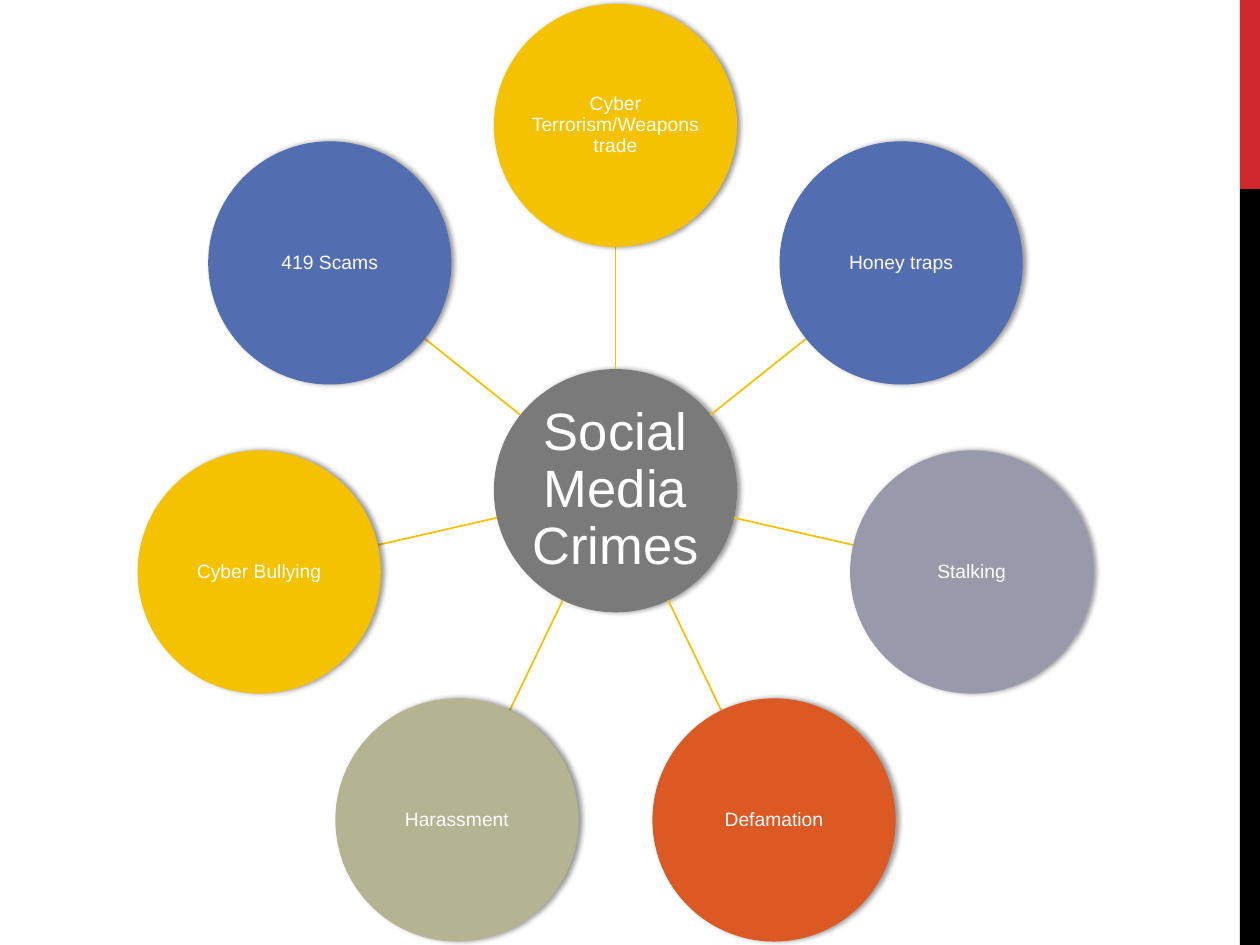
"""Build a radial diagram of social media crimes."""
import math
from lxml import etree
from pptx import Presentation
from pptx import util as u
from pptx.dml.color import RGBColor
from pptx.enum import shapes, text
from pptx.oxml.ns import qn

INCH = u.Inches
CX, CY, RADIUS, ORBIT = 4.885, 3.895, 0.965, 2.9


def paint(fmt, color):
    fmt.solid()
    fmt.fore_color.rgb = RGBColor.from_string(color)


def add_circle(s, x, y, color, label, size, inset):
    sp = s.shapes.add_shape(shapes.MSO_SHAPE.OVAL, INCH(x - RADIUS), INCH(y - RADIUS),
                            INCH(2 * RADIUS), INCH(2 * RADIUS))
    paint(sp.fill, color)
    sp.line.fill.background()
    sp.shadow.inherit = False
    effects = sp._element.spPr.find(qn("a:effectLst"))
    shadow = etree.SubElement(effects, qn("a:outerShdw"), blurRad=str(u.Pt(3.1)),
                              dist=str(u.Pt(1.8)), dir="0", rotWithShape="0")
    black = etree.SubElement(shadow, qn("a:srgbClr"), val="000000")
    etree.SubElement(black, qn("a:alpha"), val="40000")
    tf = sp.text_frame
    frame = {"word_wrap": True, "vertical_anchor": text.MSO_ANCHOR.MIDDLE}
    frame.update({f"margin_{side}": INCH(inset) for side in ("left", "top", "right", "bottom")})
    for name, value in frame.items():
        setattr(tf, name, value)
    p = tf.paragraphs[0]
    for name, value in {"alignment": text.PP_ALIGN.CENTER, "line_spacing": 0.9}.items():
        setattr(p, name, value)
    r = p.add_run()
    r.text = label
    for name, value in {"name": "Arial", "size": u.Pt(size)}.items():
        setattr(r.font, name, value)
    paint(r.font.fill, "FFFFFF")


prs = Presentation()
prs.slide_width, prs.slide_height = INCH(10), INCH(7.5)
s = prs.slides.add_slide(prs.slide_layouts[6])

for top, height, color in [(0, 1.5, "D1282E"), (1.5, 6, "000000")]:
    sp = s.shapes.add_shape(shapes.MSO_SHAPE.RECTANGLE, INCH(9.84), INCH(top),
                            INCH(0.16), INCH(height))
    paint(sp.fill, color)
    sp.line.fill.background()
    sp.shadow.inherit = False

add_circle(s, CX, CY, "7A7A7A", "Social Media Crimes", 30, 0.02)

crimes = [
    ("Cyber Terrorism/Weapons trade", "F5C201"),
    ("Honey traps", "526DB0"),
    ("Stalking", "989AAC"),
    ("Defamation", "DC5924"),
    ("Harassment", "B4B392"),
    ("Cyber Bullying", "F5C201"),
    ("419 Scams", "526DB0"),
]
for i, (label, color) in enumerate(crimes):
    angle = 2 * math.pi * i / len(crimes)
    dx, dy = math.sin(angle), -math.cos(angle)
    near, far = RADIUS, ORBIT - RADIUS
    spoke = s.shapes.add_connector(shapes.MSO_CONNECTOR.STRAIGHT,
                                   INCH(CX + near * dx), INCH(CY + near * dy),
                                   INCH(CX + far * dx), INCH(CY + far * dy))
    paint(spoke.line.fill, "F5C201")
    spoke.line.width = u.Pt(1)
    etree.SubElement(spoke._element.spPr, qn("a:effectLst"))
    add_circle(s, CX + ORBIT * dx, CY + ORBIT * dy, color, label, 11, 0.01)

prs.save("out.pptx")
